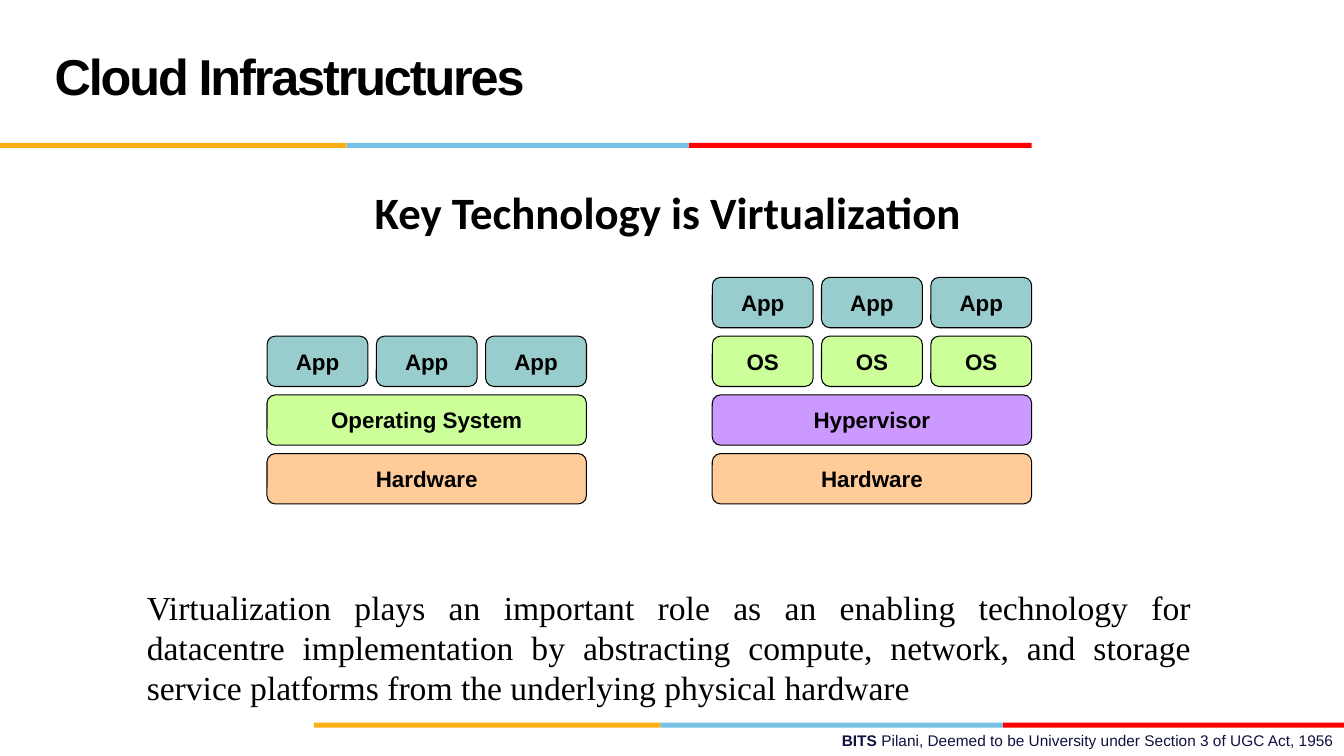
from pptx import Presentation
from pptx.dml.color import RGBColor
from pptx.enum.shapes import MSO_SHAPE
from pptx.enum.text import MSO_ANCHOR, MSO_AUTO_SIZE, PP_ALIGN
from pptx.util import Cm, Pt

RECT, ROUND = MSO_SHAPE.RECTANGLE, MSO_SHAPE.ROUNDED_RECTANGLE
LEFT, MID, RIGHT, JUST = PP_ALIGN.LEFT, PP_ALIGN.CENTER, PP_ALIGN.RIGHT, PP_ALIGN.JUSTIFY
TOP, CENTER = MSO_ANCHOR.TOP, MSO_ANCHOR.MIDDLE
FIXED = MSO_AUTO_SIZE.NONE

BLACK, NAVY = "000000", "101141"
TEAL, GREEN, PEACH, PURPLE = "99CCCC", "CCFF99", "FFCC99", "CC99FF"
BANDS = [("FCB017", 8.74), ("76C2E5", 8.63), ("FF0000", 8.63)]


def color(code):
    return RGBColor.from_string(code)


class Deck:
    def __init__(self):
        self.prs = Presentation()
        self.prs.slide_width, self.prs.slide_height = Cm(33.87), Cm(19.05)
        self.slide = self.prs.slides.add_slide(self.prs.slide_layouts[5])
        self.shapes = self.slide.shapes

    def label(self, shape, runs, align, anchor=TOP):
        """Fill a shape with one paragraph of (text, format) runs."""
        frame = shape.text_frame
        layout = {"word_wrap": True, "auto_size": FIXED, "vertical_anchor": anchor}
        for name, value in layout.items():
            setattr(frame, name, value)
        para = frame.paragraphs[0]
        para.alignment = align
        for text, style in runs:
            run = para.add_run()
            run.text = text
            look = {"name": "Arial", "bold": True, "tint": BLACK} | style
            run.font.color.rgb = color(look.pop("tint"))
            for name, value in look.items():
                setattr(run.font, name, value)
        return para

    def title(self, text, x, y, w, h):
        shape = self.shapes.title
        place = {"left": x, "top": y, "width": w, "height": h}
        for name, value in place.items():
            setattr(shape, name, Cm(value))
        para = self.label(shape, [(text, {"size": Pt(36)})], LEFT, CENTER)
        para.line_spacing = Pt(36)
        para.runs[0].font._element.set("spc", "-150")

    def text(self, runs, x, y, w, h, align):
        box = self.shapes.add_textbox(Cm(x), Cm(y), Cm(w), Cm(h))
        self.label(box, runs, align)

    def block(self, kind, fill, x, y, w, h):
        shape = self.shapes.add_shape(kind, Cm(x), Cm(y), Cm(w), Cm(h))
        shape.shadow.inherit = False
        shape.fill.solid()
        shape.fill.fore_color.rgb = color(fill)
        shape.line.fill.background()
        return shape

    def stripe(self, x, y):
        for fill, w in BANDS:
            self.block(RECT, fill, x, y, w, 0.13)
            x += w

    def stack(self, x, rows):
        """Pile up rows of (name, fill, count) from the bottom."""
        wide, gap, high, base = 8.05, 0.21, 1.27, 11.43
        for level, (name, fill, count) in enumerate(rows):
            w = (wide - gap * (count - 1)) / count
            y = base - level * (high + gap)
            for i in range(count):
                box = self.block(ROUND, fill, x + i * (w + gap), y, w, high)
                box.line.color.rgb = color(BLACK)
                box.line.width = Pt(0.75)
                self.label(box, [(name, {"size": Pt(16)})], MID, CENTER)


def main():
    deck = Deck()
    deck.stripe(0, 3.6)
    deck.stripe(7.91, 18.21)
    foot = {"size": Pt(11), "tint": NAVY}
    deck.text([("BITS ", foot),
               ("Pilani, Deemed to be University under Section 3 of UGC Act, 1956",
                foot | {"bold": False})], 12.14, 18.31, 21.73, 0.74, RIGHT)
    deck.title("Cloud Infrastructures", 1.12, 0.43, 23.42, 3.18)
    deck.text([("Key Technology is Virtualization", {"name": "Calibri", "size": Pt(32)})],
              5.33, 4.52, 23.01, 1.63, MID)
    deck.stack(6.73, [("Hardware", PEACH, 1), ("Operating System", GREEN, 1),
                      ("App", TEAL, 3)])
    deck.stack(17.95, [("Hardware", PEACH, 1), ("Hypervisor", PURPLE, 1),
                       ("OS", GREEN, 3), ("App", TEAL, 3)])
    deck.text([("Virtualization plays an important role as an enabling technology for "
                "datacentre implementation by abstracting compute, network, and storage "
                "service platforms from the underlying physical hardware",
                {"name": "Times New Roman", "size": Pt(24), "bold": False})],
              3.45, 14.66, 26.82, 3.33, JUST)
    deck.prs.save("out.pptx")


if __name__ == "__main__":
    main()
